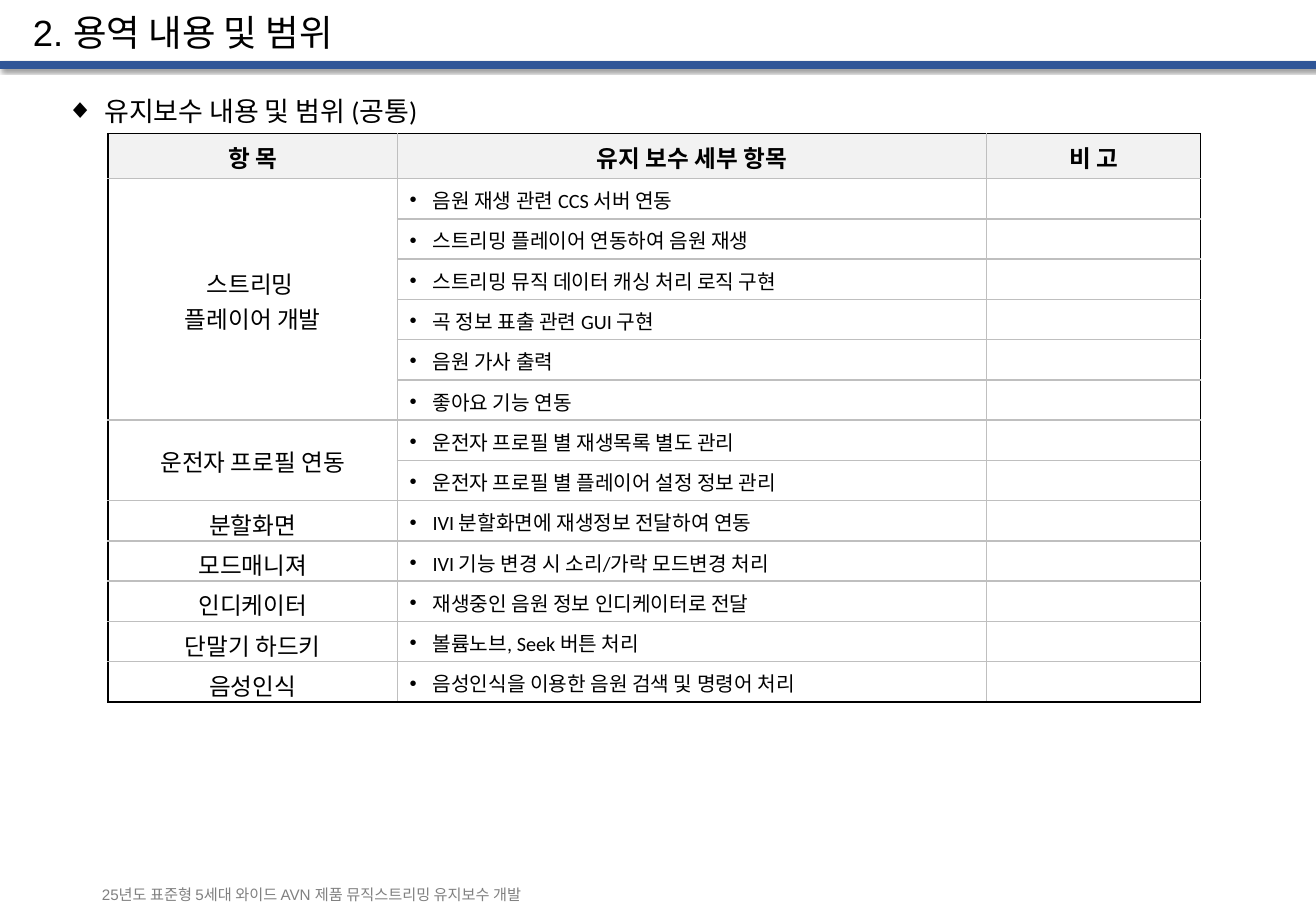
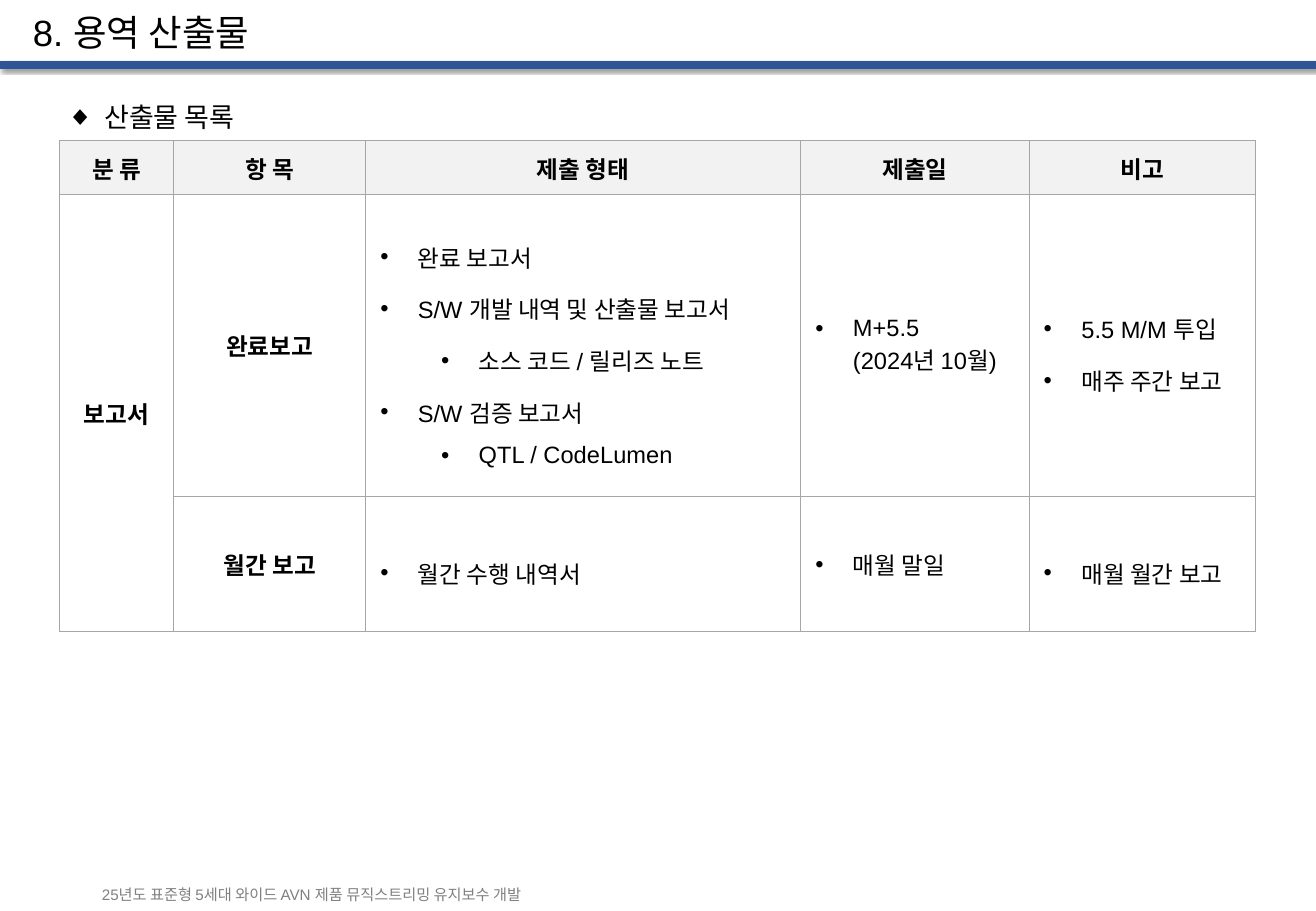
"""Builds two slides on the scope and the deliverables of a maintenance service."""
from lxml import etree
from pptx import Presentation
from pptx.dml.color import RGBColor
from pptx.enum.shapes import MSO_SHAPE
from pptx.enum.text import MSO_ANCHOR, MSO_AUTO_SIZE, PP_ALIGN
from pptx.oxml.ns import qn
from pptx.util import Inches, Pt

RECT = MSO_SHAPE.RECTANGLE
MIDDLE = MSO_ANCHOR.MIDDLE
LEFT, CENTER = PP_ALIGN.LEFT, PP_ALIGN.CENTER
NO_FIT = MSO_AUTO_SIZE.NONE

BLACK = RGBColor(0, 0, 0)
WHITE = RGBColor(255, 255, 255)
BLUE = RGBColor(0x2F, 0x55, 0x97)
PALE = RGBColor(0xF2, 0xF2, 0xF2)
GRAY = RGBColor(0x80, 0x80, 0x80)
SILVER = RGBColor(0xBF, 0xBF, 0xBF)
STEEL = RGBColor(0xA6, 0xA6, 0xA6)
ARIAL, CALIBRI = "Arial", "Calibri"

WIDTH, HEIGHT = 10.83, 7.5
FOOTER = "25년도 표준형 5세대 와이드 AVN 제품 뮤직스트리밍 유지보수 개발"

SCOPE_HEAD = ["항 목", "유지 보수 세부 항목", "비 고"]
SCOPE = [
    ("스트리밍 \n플레이어 개발", [
        "음원 재생 관련 CCS 서버 연동",
        "스트리밍 플레이어 연동하여 음원 재생",
        "스트리밍 뮤직 데이터 캐싱 처리 로직 구현",
        "곡 정보 표출 관련 GUI 구현",
        "음원 가사 출력",
        "좋아요 기능 연동"]),
    ("운전자 프로필 연동", [
        "운전자 프로필 별 재생목록 별도 관리",
        "운전자 프로필 별 플레이어 설정 정보 관리"]),
    ("분할화면", ["IVI 분할화면에 재생정보 전달하여 연동"]),
    ("모드매니져", ["IVI 기능 변경 시 소리/가락 모드변경 처리"]),
    ("인디케이터", ["재생중인 음원 정보 인디케이터로 전달"]),
    ("단말기 하드키", ["볼륨노브, Seek 버튼 처리"]),
    ("음성인식", ["음성인식을 이용한 음원 검색 및 명령어 처리"]),
]
SCOPE_COLS = [2.38, 4.85, 1.76]
SCOPE_TOP, SCOPE_TALL = 0.37, 4.68

OUTPUT_HEAD = ["분 류", "항 목", "제출 형태", "제출일", "비고"]
OUTPUT_GROUP = "보고서"
OUTPUT = [
    ("완료보고",
     [("완료 보고서", 0), ("S/W 개발 내역 및 산출물 보고서", 0),
      ("소스 코드 / 릴리즈 노트", 1), ("S/W 검증 보고서", 0),
      ("QTL / CodeLumen", 1)],
     [("M+5.5\n(2024년 10월)", 0)],
     [("5.5 M/M 투입", 0), ("매주 주간 보고", 0)]),
    ("월간 보고",
     [("월간 수행 내역서", 0)], [("매월 말일", 0)], [("매월 월간 보고", 0)]),
]
OUTPUT_COLS = [0.94, 1.58, 3.58, 1.88, 1.86]
OUTPUT_ROWS = [0.44, 2.49, 1.11]
OUTPUT_SPACE = [1.5, None, 1.5]


def write(para, text, font, size, color=BLACK, bold=False, align=LEFT,
          bullet=None, indent=0, hang=0, space=None):
    para.text = text
    para.alignment = align
    if space:
        para.line_spacing = space
    if bullet:
        props = para._p.get_or_add_pPr()
        props.set("marL", str(Inches(indent)))
        props.set("indent", str(-Inches(hang)))
        etree.SubElement(props, qn("a:buFont"), typeface=ARIAL)
        etree.SubElement(props, qn("a:buChar"), char=bullet)
    for run in para.runs:
        run.font.name, run.font.size = font, Pt(size)
        run.font.bold, run.font.color.rgb = bold, color
    for gap in para._p.findall(qn("a:br")):
        etree.SubElement(gap, qn("a:rPr"), sz=str(size * 100))
    if not text:
        etree.SubElement(para._p, qn("a:endParaRPr"), sz=str(size * 100))


def add_text(slide, box, text, font, size, **style):
    frame = slide.shapes.add_textbox(*map(Inches, box)).text_frame
    frame.word_wrap = True
    write(frame.paragraphs[0], text, font, size, **style)
    return frame


def add_band(slide):
    band = slide.shapes.add_shape(
        RECT, 0, Inches(0.51), Inches(WIDTH), Inches(0.05))
    band.fill.solid()
    band.fill.fore_color.rgb = BLUE
    band.line.color.rgb = BLUE
    band.line.width = Pt(1)
    effects = etree.SubElement(band._element.spPr, qn("a:effectLst"))
    shade = etree.SubElement(
        effects, qn("a:outerShdw"), blurRad=str(Pt(2)), dist=str(Pt(2)),
        dir=str(45 * 60000), algn="tl", rotWithShape="0")
    tint = etree.SubElement(shade, qn("a:srgbClr"), val=str(BLACK))
    etree.SubElement(tint, qn("a:alpha"), val="40000")


def add_page(deck, title, head, top, font):
    slide = deck.slides.add_slide(deck.slide_layouts[5])
    add_band(slide)
    holder = slide.shapes.title
    holder.left, holder.top = Inches(0.17), Inches(0.06)
    holder.width, holder.height = Inches(9.34), Inches(0.45)
    frame = holder.text_frame
    frame.auto_size, frame.vertical_anchor = NO_FIT, MIDDLE
    write(frame.paragraphs[0], title, ARIAL, 21.6, space=0.9)
    foot = add_text(slide, (0.74, 7.23, 4.46, 0.26), FOOTER, ARIAL, 9, color=GRAY)
    foot.vertical_anchor = MIDDLE
    add_text(slide, (0.45, top, 4.29, 0.37), head, font, 16,
             bullet="◆", indent=0.31, hang=0.31)
    return slide


def add_grid(slide, left, top, cols, rows, inner, outer, weight):
    box = map(Inches, (left, top, sum(cols), sum(rows)))
    grid = slide.shapes.add_table(len(rows), len(cols), *box).table
    grid.first_row = grid.horz_banding = False
    for col, size in zip(grid.columns, cols):
        col.width = Inches(size)
    for row, size in zip(grid.rows, rows):
        row.height = Inches(size)
    for r in range(len(rows)):
        for c in range(len(cols)):
            cell = grid.cell(r, c)
            props = cell._tc.get_or_add_tcPr()
            edges = {"L": c == 0, "R": c == len(cols) - 1,
                     "T": r == 0, "B": r == len(rows) - 1}
            for side, edge in edges.items():
                line = etree.SubElement(
                    props, qn("a:ln" + side), w=str(Pt(weight)))
                fill = etree.SubElement(line, qn("a:solidFill"))
                etree.SubElement(fill, qn("a:srgbClr"),
                                 val=str(outer if edge else inner))
            cell.fill.solid()
            cell.fill.fore_color.rgb = PALE if r == 0 else WHITE
            cell.vertical_anchor = MIDDLE
    return grid


def fill_cell(cell, lines, font, size, pads=None, hang=0, **style):
    if pads:
        (cell.margin_left, cell.margin_top,
         cell.margin_right, cell.margin_bottom) = map(Inches, pads)
    frame = cell.text_frame
    for i, (text, level) in enumerate(lines):
        para = frame.add_paragraph() if i else frame.paragraphs[0]
        write(para, text, font, size, indent=hang + level / 2, hang=hang, **style)


def add_scope(deck):
    slide = add_page(deck, "2. 용역 내용 및 범위", "유지보수 내용 및 범위 (공통)",
                     0.73, CALIBRI)
    count = sum(len(items) for _, items in SCOPE)
    rows = [SCOPE_TOP] + [(SCOPE_TALL - SCOPE_TOP) / count] * count
    grid = add_grid(slide, 0.89, 1.1, SCOPE_COLS, rows, SILVER, BLACK, 1)
    pads = (0.1, 0.05, 0.1, 0.03)
    for c, text in enumerate(SCOPE_HEAD):
        fill_cell(grid.cell(0, c), [(text, 0)], CALIBRI, 14, pads,
                  bold=True, align=CENTER)
    row = 1
    for label, items in SCOPE:
        last = row + len(items) - 1
        cell = grid.cell(row, 0)
        if last > row:
            cell.merge(grid.cell(last, 0))
        lines = [(text, 0) for text in label.split("\n")]
        fill_cell(cell, lines, CALIBRI, 14,
                  pads if last > row else (0.1, 0.05, 0.1, 0), align=CENTER)
        for r, item in enumerate(items, row):
            fill_cell(grid.cell(r, 1), [(item, 0)], CALIBRI, 12, pads,
                      bullet="•", hang=0.19)
            fill_cell(grid.cell(r, 2), [("", 0)], CALIBRI, 12, pads)
            if r > row:
                fill_cell(grid.cell(r, 0), [("", 0)], CALIBRI, 12, pads)
        row = last + 1


def add_output(deck):
    slide = add_page(deck, "8. 용역 산출물", "산출물 목록", 0.78, ARIAL)
    grid = add_grid(slide, 0.49, 1.16, OUTPUT_COLS, OUTPUT_ROWS,
                    STEEL, STEEL, 0.75)
    label = {"bold": True, "align": CENTER}
    for c, text in enumerate(OUTPUT_HEAD):
        fill_cell(grid.cell(0, c), [(text, 0)], ARIAL if c else CALIBRI, 14,
                  (0, 0.08, 0, 0.08), **label)
    group = grid.cell(1, 0)
    group.merge(grid.cell(len(OUTPUT), 0))
    fill_cell(group, [(OUTPUT_GROUP, 0)], CALIBRI, 14, (0, 0, 0, 0), **label)
    for r, (name, *parts) in enumerate(OUTPUT, 1):
        fill_cell(grid.cell(r, 1), [(name, 0)], ARIAL, 14, (0, 0, 0, 0), **label)
        for c, (lines, space) in enumerate(zip(parts, OUTPUT_SPACE), 2):
            fill_cell(grid.cell(r, c), lines, ARIAL, 14, (0.12, 0, 0, 0),
                      bullet="•", hang=0.31, space=space)


def main():
    deck = Presentation()
    deck.slide_width, deck.slide_height = Inches(WIDTH), Inches(HEIGHT)
    add_scope(deck)
    add_output(deck)
    deck.save("out.pptx")


if __name__ == "__main__":
    main()
